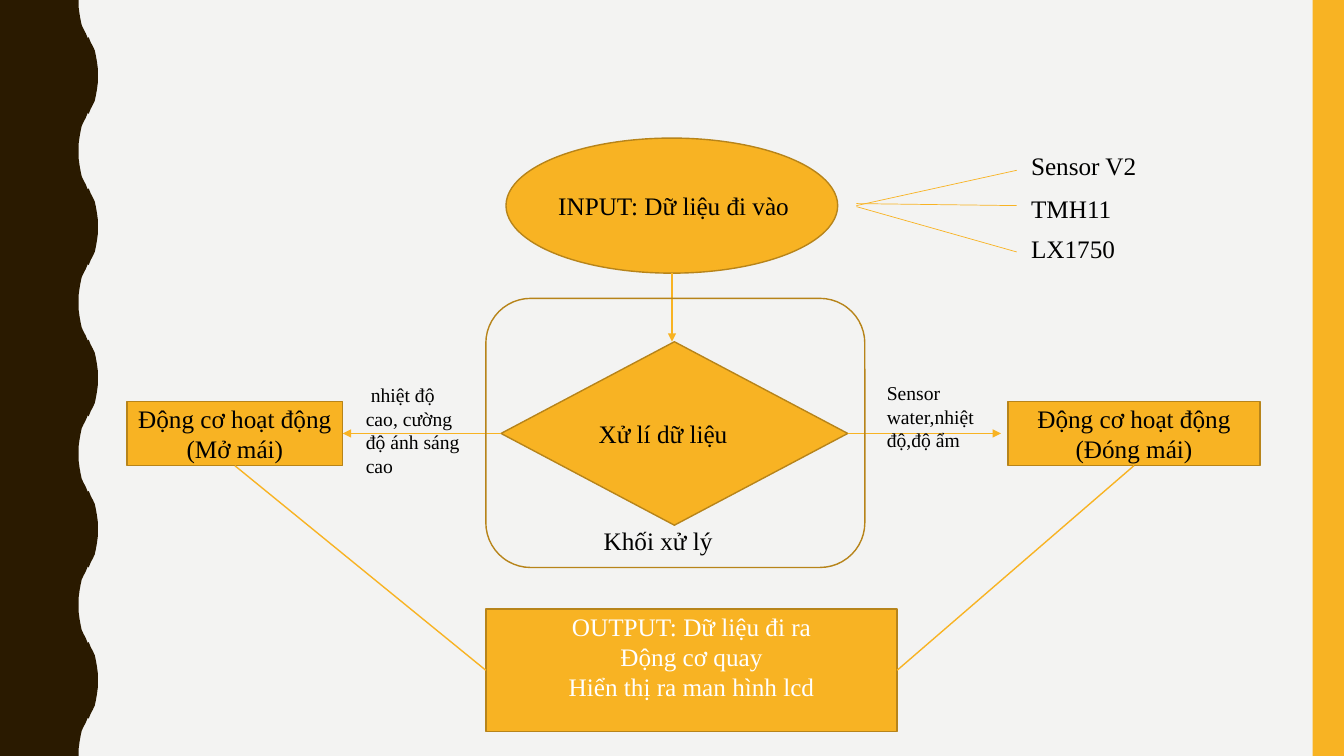
from lxml import etree
from pptx import Presentation
from pptx.dml.color import RGBColor
from pptx.enum.shapes import MSO_CONNECTOR, MSO_SHAPE
from pptx.enum.text import MSO_ANCHOR, PP_ALIGN
from pptx.oxml.ns import qn
from pptx.util import Emu, Inches, Pt

RECT, ELLIPSE = MSO_SHAPE.RECTANGLE, MSO_SHAPE.OVAL
ROUNDED, DECISION = MSO_SHAPE.ROUNDED_RECTANGLE, MSO_SHAPE.FLOWCHART_DECISION
STRAIGHT = MSO_CONNECTOR.STRAIGHT
TOP, MIDDLE = MSO_ANCHOR.TOP, MSO_ANCHOR.MIDDLE
LEFT, CENTER = PP_ALIGN.LEFT, PP_ALIGN.CENTER
LEFT_SIDE, BOTTOM_SIDE, RIGHT_SIDE = 1, 2, 3

AMBER, BRONZE, BROWN = "F8B323", "B7841A", "2A1A00"
PAPER, BLACK, WHITE = "F3F3F2", "000000", "FFFFFF"


def rgb(value):
    return RGBColor.from_string(value)


class Flowchart:
    """Draws on one slide; every position is a percentage of its width or height."""

    font = "Times New Roman"
    size = 18

    def __init__(self, prs):
        self.unit_x = prs.slide_width / 100
        self.unit_y = prs.slide_height / 100
        self.s = prs.slides.add_slide(prs.slide_layouts[6])
        self.s.background.fill.solid()
        self.s.background.fill.fore_color.rgb = rgb(PAPER)

    def point(self, x, y):
        return Emu(round(x * self.unit_x)), Emu(round(y * self.unit_y))

    def paint(self, sp, fill, line):
        sp.shadow.inherit = False
        if fill:
            sp.fill.solid()
            sp.fill.fore_color.rgb = rgb(fill)
        else:
            sp.fill.background()
        if line:
            sp.line.color.rgb = rgb(line)
            sp.line.width = Pt(1)
        else:
            sp.line.fill.background()

    def set_text(self, sp, lines, color, align, size=size):
        tf = sp.text_frame
        tf.word_wrap = True
        tf.text = "\n".join(lines)
        for p in tf.paragraphs:
            p.alignment = align
            for r in p.runs:
                r.font.name = self.font
                r.font.size = Pt(size)
                r.font.color.rgb = rgb(color)
        return tf

    def shape(self, kind, x, y, w, h, fill=AMBER, line=BRONZE, lines=(), color=BLACK):
        sp = self.s.shapes.add_shape(kind, *self.point(x, y), *self.point(w, h))
        self.paint(sp, fill, line)
        if lines:
            self.set_text(sp, lines, color, CENTER).vertical_anchor = MIDDLE
        return sp

    def label(self, x, y, w, text, h=5.33, size=size):
        sp = self.s.shapes.add_textbox(*self.point(x, y), *self.point(w, h))
        return self.set_text(sp, [text], BLACK, LEFT, size)

    def line(self, start, end, width=1, arrow=False):
        """Each end is an (x, y) point or a (shape, side) pair."""
        ends = [(0, 0) if hasattr(e[0], "shape_id") else self.point(*e)
                for e in (start, end)]
        cx = self.s.shapes.add_connector(STRAIGHT, *ends[0], *ends[1])
        for target, attach in ((start, cx.begin_connect), (end, cx.end_connect)):
            if hasattr(target[0], "shape_id"):
                attach(*target)
        cx.line.color.rgb = rgb(AMBER)
        cx.line.width = Pt(width)
        spPr = cx._element.spPr
        if arrow:
            etree.SubElement(spPr.find(qn("a:ln")), qn("a:tailEnd"), type="triangle")
        etree.SubElement(spPr, qn("a:effectLst"))

    def wavy_edge(self, waves):
        """Dark left band whose right edge repeats one wave down the slide."""
        quarter = [(5.85, 0), (5.85, 0.93), (5.92, 1.87), (6, 2.67),
                   (6.08, 3.33), (6.22, 3.87), (6.38, 4.4), (6.53, 5.07)]
        rise = quarter + [(13.13 - x, 10 - y) for x, y in reversed(quarter)]
        wave = rise + [(x, 20 - y) for x, y in reversed(rise)]
        edge = [(x, y + 20 * i) for i in range(waves) for x, y in wave]
        # The builder rounds to whole units, so it is given EMU.
        builder = self.s.shapes.build_freeform(0, 0)
        builder.add_line_segments([self.point(*xy) for xy in edge + [(0, 100)]])
        self.paint(builder.convert_to_shape(), BROWN, None)


def main():
    prs = Presentation()
    prs.slide_width, prs.slide_height = Inches(13.33), Inches(7.5)
    chart = Flowchart(prs)
    chart.wavy_edge(waves=5)
    chart.shape(RECT, 97.67, 0, 2.33, 100, line=None)

    # Input and its sensors
    chart.shape(ELLIPSE, 37.65, 18.27, 24.68, 17.87)
    chart.label(40.8, 24.53, 19.73, "INPUT: Dữ liệu đi vào")
    sensors = [("Sensor V2", 19.2, 27.2, 22.53),
               ("TMH11", 24.93, 26.93, 27.2),
               ("LX1750", 30.27, 27.33, 33.33)]
    for name, top, start, end in sensors:
        chart.line((63.72, start), (75.65, end), 0.5)
        chart.label(75.98, top, 13.8, name)

    # Processing block
    chart.line((50, 36.13), (50, 45.2), arrow=True)
    decision = chart.shape(DECISION, 37.28, 45.2, 25.8, 24.27)
    chart.label(43.8, 54.67, 15, "Xử lí dữ liệu")

    # Motor actions
    opening = chart.shape(RECT, 9.45, 53.07, 16.05, 8.53,
                          lines=["Động cơ hoạt động (Mở mái)"])
    closing = chart.shape(RECT, 75, 53.07, 18.75, 8.53,
                          lines=["Động cơ hoạt động", "(Đóng mái)"])
    chart.line((decision, LEFT_SIDE), (opening, RIGHT_SIDE), 0.5, arrow=True)
    chart.line((decision, RIGHT_SIDE), (74.48, 57.33), 0.5, arrow=True)
    tf = chart.label(26.48, 50, 9.15, "nhiệt độ cao, cường độ ánh sáng cao", 13.87, 14)
    tf.paragraphs[0]._p.get_or_add_pPr().set("indent", str(Inches(0.05)))
    chart.label(65.25, 49.73, 9.83, "Sensor water,nhiệt độ,độ ẩm", 10.8, 14)

    chart.shape(ROUNDED, 36.15, 39.47, 28.2, 35.6, fill=None)
    chart.label(44.18, 68.8, 18.2, "Khối xử lý")

    # Output
    output = chart.shape(RECT, 36.15, 80.53, 30.6, 16.27, color=WHITE,
                         lines=["OUTPUT: Dữ liệu đi ra", "Động cơ quay",
                                "Hiển thị ra man hình lcd"])
    output.text_frame.vertical_anchor = TOP
    output.text_frame.margin_top = Inches(0.02)
    chart.line((opening, BOTTOM_SIDE), (output, LEFT_SIDE))
    chart.line((closing, BOTTOM_SIDE), (output, RIGHT_SIDE))

    prs.save("out.pptx")


if __name__ == "__main__":
    main()
